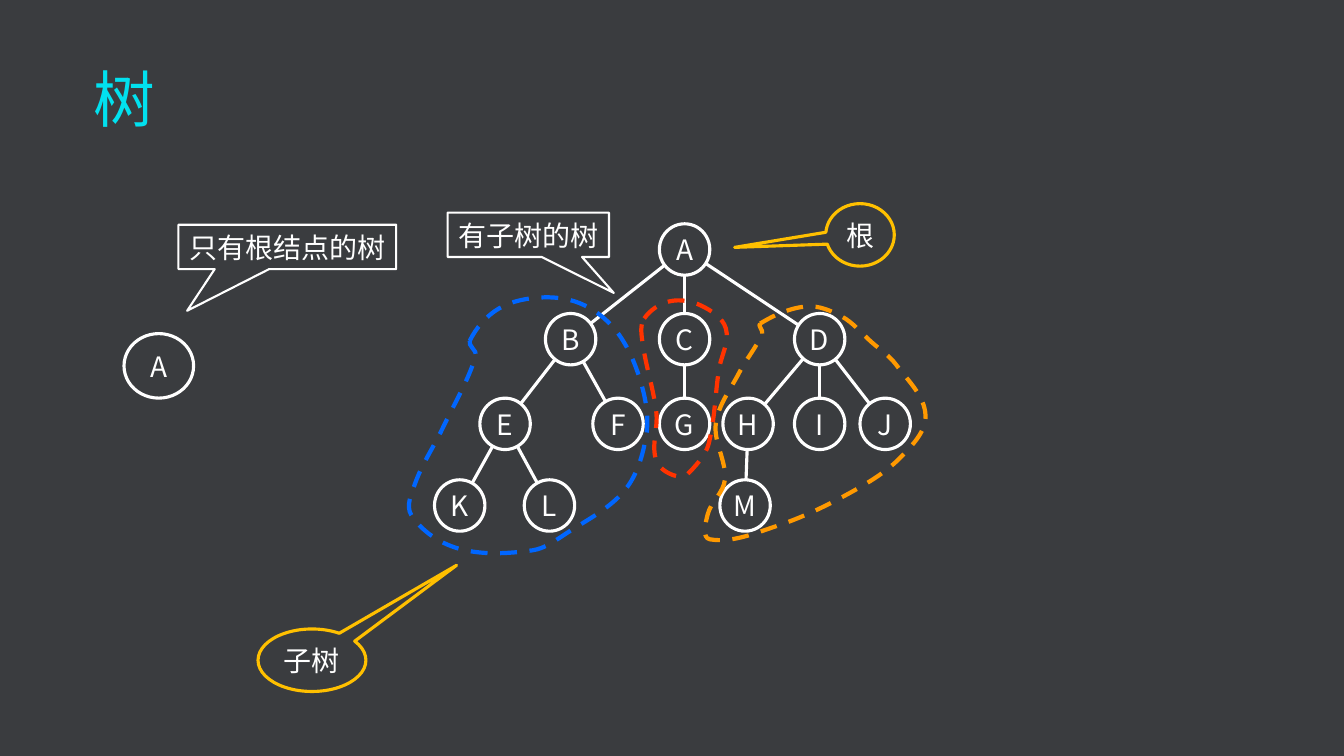
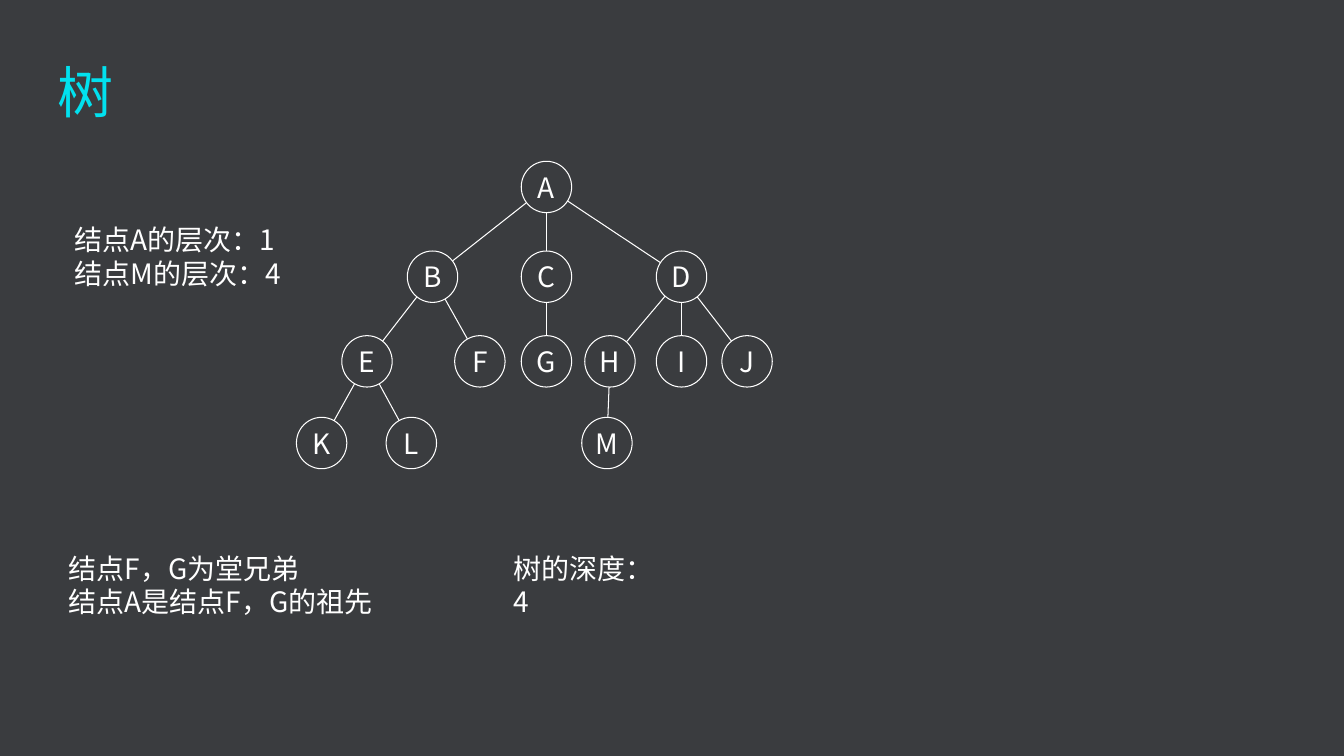
from math import dist

from lxml.etree import SubElement
from pptx import Presentation
from pptx.dml.color import RGBColor
from pptx.enum.dml import MSO_LINE
from pptx.enum.shapes import MSO_CONNECTOR, MSO_SHAPE
from pptx.enum.text import MSO_ANCHOR, PP_ALIGN
from pptx.oxml.ns import qn
from pptx.util import Inches, Pt

COLORS = {"bg": "3A3C3F", "title": "01E1EF", "white": "FFFFFF", "gold": "FFC000",
          "blue": "0066FF", "red": "FF3300", "orange": "FF9900"}
FONT = "Noto Sans CJK SC"
NODE_W, NODE_H = 0.5, 0.51

# Each level of the tree: top, then the left edge of every node
LEVELS = [
    (2.22, {"A": 6.54}),
    (3.11, {"B": 5.41, "C": 6.54, "D": 7.88}),
    (3.95, {"E": 4.76, "F": 5.88, "G": 6.54, "H": 7.17, "I": 7.88, "J": 8.53}),
    (4.76, {"K": 4.31, "L": 5.2, "M": 7.14}),
]
CHILDREN = {"A": "BCD", "B": "EF", "C": "G", "D": "HIJ", "E": "KL", "H": "M"}
LEVEL_TREE_SHIFT = (-1.37, -0.62)

# Text, preset, box, pointer adjustments, colour, line width, font
CALLOUTS = [
    ("只有根结点的树", MSO_SHAPE.RECTANGULAR_CALLOUT, (1.77, 2.23, 2.16, 0.44),
     (-0.46, 1.44), "white", 1.5, FONT),
    ("有子树的树", MSO_SHAPE.RECTANGULAR_CALLOUT, (4.44, 2.11, 1.6, 0.44),
     (0.53, 1.31), "white", 1.5, FONT),
    ("子树", MSO_SHAPE.OVAL_CALLOUT, (2.56, 6.24, 1.07, 0.62),
     (1.34, -1.52), "gold", 2.25, FONT),
    ("根", MSO_SHAPE.OVAL_CALLOUT, (8.19, 2.02, 0.68, 0.62),
     (-1.83, 0.2), "gold", 2.25, "Times New Roman"),
]

# Points that the smooth outline of each subtree passes through
SUBTREES = {
    "blue": [(4.66, 3.38), (4.95, 3.06), (5.39, 2.95), (5.8, 3.03), (6.14, 3.32),
             (6.37, 3.84), (6.41, 4.32), (6.2, 4.86), (5.62, 5.29), (5.28, 5.46),
             (4.54, 5.44), (4.08, 5.11), (4.12, 4.79), (4.39, 4.25), (4.72, 3.53)],
    "red": [(6.39, 3.16), (6.64, 2.99), (6.95, 3.03), (7.2, 3.26), (7.13, 3.67),
            (7.03, 4.4), (6.89, 4.63), (6.74, 4.73), (6.51, 4.57), (6.51, 4.09),
            (6.37, 3.38)],
    "orange": [(7.54, 3.21), (8, 3.04), (8.35, 3.14), (8.64, 3.39), (8.89, 3.62),
               (9.18, 4.12), (8.93, 4.54), (8.43, 4.89), (7.7, 5.22), (7.04, 5.35),
               (7.02, 5.1), (7.19, 4.76), (7.1, 4.2), (7.33, 3.7), (7.56, 3.31)],
}
NOTES = [
    ((0.64, 2.16, 2.3, 0.77), ["结点A的层次：1", "结点M的层次：4"]),
    ((4.99, 5.42, 1.7, 0.44), ["树的深度：4"]),
    ((0.58, 5.42, 3.25, 0.77), ["结点F，G为堂兄弟", "结点A是结点F，G的祖先"]),
]


def rgb(name):
    return RGBColor.from_string(COLORS[name])


def inches(values):
    return [Inches(v) for v in values]


def toward(start, direction, length):
    """Point at a given length from start, along direction."""
    scale = length / dist((0, 0), direction)
    return start[0] + direction[0] * scale, start[1] + direction[1] * scale


def minus(a, b):
    return a[0] - b[0], a[1] - b[1]


def write(tf, lines, size=20, color="white", font=FONT, align=PP_ALIGN.LEFT):
    tf.text = "\n".join(lines)
    for p in tf.paragraphs:
        p.alignment = align
        for r in p.runs:
            r.font.size = Pt(size)
            r.font.name = font
            r.font.color.rgb = rgb(color)
            SubElement(r.font._element, qn("a:ea")).set("typeface", FONT)


def add_text(slide, box, lines, **style):
    tf = slide.shapes.add_textbox(*inches(box)).text_frame
    tf.word_wrap = True
    write(tf, lines, **style)


def outline(sp, color, width):
    sp.shadow.inherit = False
    sp.fill.background()
    sp.line.color.rgb = rgb(color)
    sp.line.width = Pt(width)


def add_label(slide, preset, box, text, color="white", width=2.25, font=FONT):
    """Outlined shape with centred text that does not wrap."""
    sp = slide.shapes.add_shape(preset, *inches(box))
    outline(sp, color, width)
    tf = sp.text_frame
    write(tf, [text], font=font, align=PP_ALIGN.CENTER)
    tf.word_wrap = False
    tf.vertical_anchor = MSO_ANCHOR.MIDDLE
    return sp


def add_tree(slide, width, shift=(0, 0)):
    centers = {}
    for top, nodes in LEVELS:
        for name, left in nodes.items():
            x, y = left + shift[0], top + shift[1]
            add_label(slide, MSO_SHAPE.OVAL, (x, y, NODE_W, NODE_H), name, width=width)
            centers[name] = (x + NODE_W / 2, y + NODE_H / 2)
    for parent, children in CHILDREN.items():
        for child in children:
            a, b = centers[parent], centers[child]
            ends = toward(a, minus(b, a), NODE_H / 2) + toward(b, minus(a, b), NODE_H / 2)
            line = slide.shapes.add_connector(MSO_CONNECTOR.STRAIGHT, *inches(ends))
            line.line.color.rgb = rgb("white")
            line.line.width = Pt(width)
            SubElement(line._element.spPr, qn("a:effectLst"))


def add_subtree_outline(slide, color, points):
    """Dashed freeform whose straight segments are turned into smooth curves."""
    count = len(points)
    loop = points[1:] + points[:1]
    builder = slide.shapes.build_freeform(*inches(points[0]))
    builder.add_line_segments([inches(p) for p in loop], close=True)
    sp = builder.convert_to_shape()
    outline(sp, color, 3)
    sp.line.dash_style = MSO_LINE.DASH
    for i, segment in enumerate(list(sp._element.iter(qn("a:lnTo")))):
        before, start, end, after = (points[(i + k) % count] for k in (-1, 0, 1, 2))
        reach = dist(start, end) / 3
        curve = (toward(start, minus(end, before), reach),
                 toward(end, minus(start, after), reach), end)
        segment.tag = qn("a:cubicBezTo")
        segment.remove(segment[0])
        for x, y in curve:
            pt = SubElement(segment, qn("a:pt"))
            pt.set("x", str(Inches(x) - sp.left))
            pt.set("y", str(Inches(y) - sp.top))


def add_slide(prs, title_box, title_size):
    slide = prs.slides.add_slide(prs.slide_layouts[6])
    slide.background.fill.solid()
    slide.background.fill.fore_color.rgb = rgb("bg")
    add_text(slide, title_box, ["树"], size=title_size, color="title")
    return slide


def main():
    prs = Presentation()
    prs.slide_width, prs.slide_height = Inches(13.33), Inches(7.5)

    slide = add_slide(prs, (0.83, 0.56, 11.68, 0.46), 44)
    add_label(slide, MSO_SHAPE.OVAL, (1.23, 3.31, 0.69, 0.64), "A")
    add_tree(slide, 2.25)
    for text, preset, box, pointer, color, width, font in CALLOUTS:
        sp = add_label(slide, preset, box, text, color, width, font)
        for i, value in enumerate(pointer):
            sp.adjustments[i] = value
    for color, points in SUBTREES.items():
        add_subtree_outline(slide, color, points)

    slide = add_slide(prs, (0.47, 0.52, 11.68, 0.46), 40)
    add_tree(slide, 0.75, LEVEL_TREE_SHIFT)
    for box, lines in NOTES:
        add_text(slide, box, lines)

    prs.save("out.pptx")


if __name__ == "__main__":
    main()
